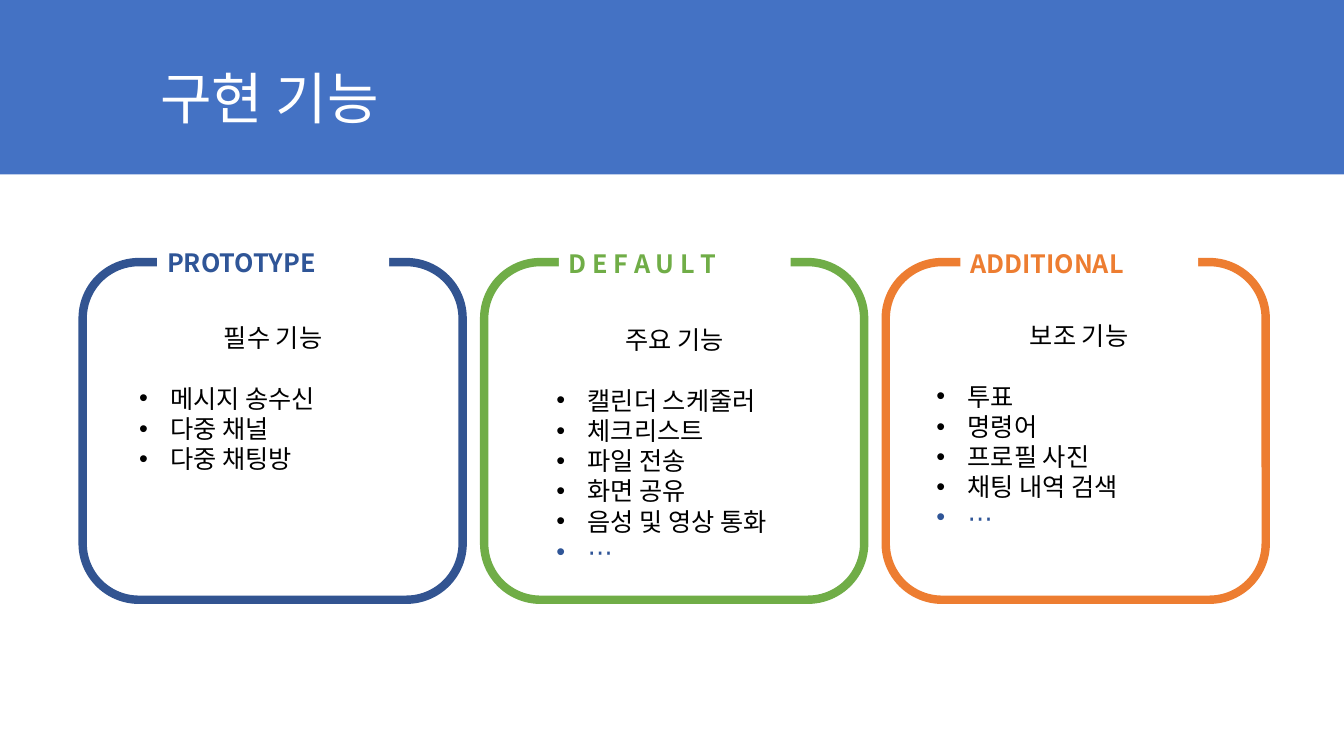
from dataclasses import dataclass
from lxml.etree import SubElement
from pptx import Presentation
from pptx.dml.color import RGBColor as Color
from pptx.enum.shapes import MSO_SHAPE as Shape
from pptx.enum.text import MSO_ANCHOR as Anchor, MSO_AUTO_SIZE as AutoSize, PP_ALIGN as Align
from pptx.oxml.ns import qn
from pptx.util import Inches, Pt

SLIDE_WIDTH, SLIDE_HEIGHT = Inches(13.33), Inches(7.5)
COLUMN, ROW = SLIDE_WIDTH / 40, SLIDE_HEIGHT / 30
FRAME_LEFT, FRAME_PITCH = 2.46, 11.95
COMPARISON_LAYOUT = 4
MORE = "⋯"


@dataclass(frozen=True)
class Theme:
    band: str = "4472C4"
    white: str = "FFFFFF"
    black: str = "000000"
    accent: str = "2F5597"
    title_font: str = "Montserrat"
    text_font: str = "Noto Sans CJK KR"
    more_font: str = "Open Sans"
    title_size: float = 40
    text_size: float = 18
    line_pitch: float = 21.6
    frame_line: float = 6


THEME = Theme()


@dataclass(frozen=True)
class Group:
    tag: str
    tag_color: str
    frame_color: str
    tag_area: tuple
    heading: str
    features: tuple
    list_area: tuple


GROUPS = (
    Group("PROTOTYPE", "2F5597", "325491", (9.6, 6.9), "필수 기능",
          ("메시지 송수신", "다중 채널", "다중 채팅방"), (3.84, 12.6, 8.58, 7.68)),
    Group("D E F A U L T", "70AD47", "70AD47", (9.64, 6.9), "주요 기능",
          ("캘린더 스케줄러", "체크리스트", "파일 전송", "화면 공유", "음성 및 영상 통화", MORE),
          (16.26, 12.68, 7.65, 10.08)),
    Group("ADDITIONAL", "ED7D31", "ED7D31", (9.64, 7.08), "보조 기능",
          ("투표", "명령어", "프로필 사진", "채팅 내역 검색", MORE), (27.57, 12.52, 9.09, 11.32)),
)


def grid(left, top, width, height):
    return [round(n) for n in (left * COLUMN, top * ROW, width * COLUMN, height * ROW)]


def place(shape, area):
    shape.left, shape.top, shape.width, shape.height = grid(*area)


def style(paragraph, size, color, font=THEME.text_font, bold=False):
    paragraph.font.size = Pt(size)
    paragraph.font.name = font
    paragraph.font.bold = bold
    paragraph.font.color.rgb = Color.from_string(color)
    for run in paragraph.runs:
        properties = run.font._element
        SubElement(properties, qn("a:ea"), typeface=THEME.text_font)


def set_bullet(paragraph, character=None):
    properties = paragraph._p.get_or_add_pPr()
    indent = Inches(0.31) if character else 0
    properties.set("marL", str(indent))
    properties.set("indent", str(-indent))
    if character:
        bullet_font = SubElement(properties, qn("a:buFont"), typeface="Arial")
        bullet_font.addnext(properties.makeelement(qn("a:buChar"), {"char": character}))
    else:
        SubElement(properties, qn("a:buNone"))


def add_block(slide, kind, area, fill=None, line=None):
    shape = slide.shapes.add_shape(kind, *grid(*area))
    shape.shadow.inherit = False
    if fill:
        shape.fill.solid()
        shape.fill.fore_color.rgb = Color.from_string(fill)
    else:
        shape.fill.background()
    if line:
        shape.line.color.rgb = Color.from_string(line)
        shape.line.width = Pt(THEME.frame_line)
    else:
        shape.line.fill.background()
    return shape


def write_title(slide, text):
    title = slide.shapes.title
    band = add_block(slide, Shape.RECTANGLE, (0, -0.04, 40, 6.96), fill=THEME.band)
    title._element.addprevious(band._element)
    place(title, (4.47, 1.12, 34.5, 5.8))
    title.text_frame.text = text
    title.text_frame.vertical_anchor = Anchor.MIDDLE
    paragraph = title.text_frame.paragraphs[0]
    paragraph.alignment = Align.LEFT
    paragraph.line_spacing = 0.9
    style(paragraph, THEME.title_size, THEME.white, THEME.title_font)


def write_list(placeholder, group):
    place(placeholder, group.list_area)
    frame = placeholder.text_frame
    frame.text = "\n".join((group.heading, *group.features))
    frame.auto_size = AutoSize.NONE
    frame.vertical_anchor = Anchor.TOP
    frame.word_wrap = True
    for index, paragraph in enumerate(frame.paragraphs):
        is_heading = index == 0
        is_more = paragraph.text == MORE
        paragraph.alignment = Align.CENTER if is_heading else Align.LEFT
        paragraph.line_spacing = Pt(THEME.line_pitch)
        paragraph.space_before = Pt(0)
        paragraph.space_after = Pt(THEME.line_pitch if is_heading else 0)
        set_bullet(paragraph, None if is_heading else "•")
        style(paragraph, THEME.text_size, THEME.accent if is_more else THEME.black,
              THEME.more_font if is_more else THEME.text_font)


def add_tagged_frame(slide, left, group):
    add_block(slide, Shape.ROUNDED_RECTANGLE, (left, 10.4, 11.31, 13.4), line=group.frame_color)
    top, width = group.tag_area
    tag = add_block(slide, Shape.RECTANGLE, (left + 2.22, top, width, 1.6), fill=THEME.white)
    tag.text_frame.text = group.tag
    tag.text_frame.vertical_anchor = Anchor.MIDDLE
    paragraph = tag.text_frame.paragraphs[0]
    paragraph.alignment = Align.JUSTIFY
    style(paragraph, THEME.text_size, group.tag_color, bold=True)


def main():
    presentation = Presentation()
    presentation.slide_width, presentation.slide_height = SLIDE_WIDTH, SLIDE_HEIGHT
    slide = presentation.slides.add_slide(presentation.slide_layouts[COMPARISON_LAYOUT])
    write_title(slide, "구현 기능")
    _, *bodies = slide.placeholders
    for index, (body, group) in enumerate(zip(bodies, GROUPS)):
        write_list(body, group)
        add_tagged_frame(slide, FRAME_LEFT + index * FRAME_PITCH, group)
    for unused in bodies[len(GROUPS):]:
        unused._element.getparent().remove(unused._element)
    presentation.save("out.pptx")


if __name__ == "__main__":
    main()
